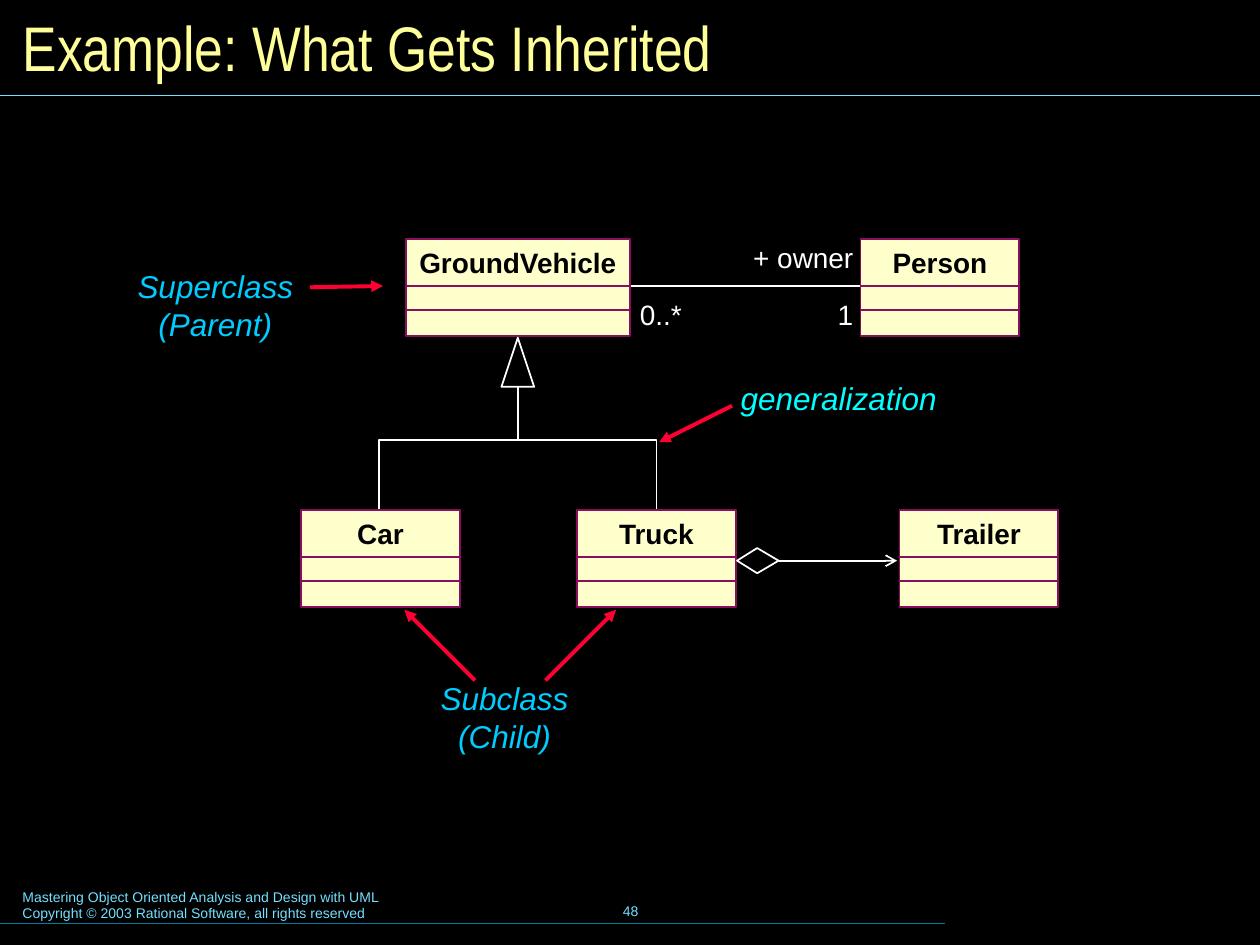
from lxml.etree import SubElement
from pptx import Presentation
from pptx.dml.color import RGBColor
from pptx.enum.shapes import MSO_CONNECTOR as Conn, MSO_SHAPE as Shape
from pptx.enum.text import MSO_ANCHOR as Anchor, MSO_AUTO_SIZE as Fit, PP_ALIGN as Align
from pptx.oxml.ns import qn
from pptx.util import Inches, Pt

HUES = dict(back="000000", title="FFFF99", sky="73E1FF", teal="007E9F", white="FFFFFF",
            blue="00CCFF", cyan="00FFFF", red="FF0033", cream="FFFFCC", plum="8A0E5E")

TITLE = "Example: What Gets Inherited"
FOOTER = ["Mastering Object Oriented Analysis and Design with UML",
          "Copyright © 2003 Rational Software, all rights reserved"]
PAGE = ["48"]

# Class boxes: name, left, row, width
ROWS = [1.9, 4.05]
BOX_H, RULES = 0.77, (0.37, 0.56)
CLASSES = [("Car", 2.39, 1, 1.26), ("Trailer", 7.14, 1, 1.26), ("Truck", 4.58, 1, 1.26),
           ("Person", 6.83, 0, 1.26), ("GroundVehicle", 3.22, 0, 1.78)]

# Callouts: text, left, top, width, height, colour, alignment
NOTES = [("Superclass (Parent)", 0.98, 2.07, 1.46, 0.7, "blue", Align.CENTER),
         ("Subclass (Child)", 3.12, 5.34, 1.77, 0.7, "blue", Align.CENTER),
         ("generalization", 5.78, 2.96, 1.83, 0.4, "cyan", Align.LEFT)]
POINTERS = [((5.81, 3.22), (5.23, 3.51)), ((2.46, 2.28), (3.04, 2.27)),
            ((3.77, 5.4), (3.21, 4.84)), ((4.33, 5.4), (4.89, 4.84))]

# Role labels: text, left, top, width
ROLES = [("+ owner", 5.88, 1.86, 1), ("0..*", 4.98, 2.31, 0.54), ("1", 6.55, 2.31, 0.33)]

# Relations
STEM, FORK, TIP = 4.11, 3.49, 2.68
TREE = [(3.01, 4.15), (3.01, FORK), (5.21, FORK), (5.21, 4.15)]
HEAD = [(STEM, TIP), (STEM + 0.13, TIP + 0.39), (STEM - 0.13, TIP + 0.39)]
MID = 4.45
DIAMOND = [(5.85, MID), (6.01, MID + 0.1), (6.18, MID), (6.01, MID - 0.1)]

deck = Presentation()
deck.slide_width, deck.slide_height = Inches(10), Inches(7.5)
slide = deck.slides.add_slide(deck.slide_layouts[5])
shapes = slide.shapes


def tint(name):
    return RGBColor.from_string(HUES[name])


def stroke(line, hue, width):
    line.color.rgb = tint(hue)
    line.width = Pt(width)


def write(shape, lines, size, hue, align=Align.LEFT, face="Arial", anchor=Anchor.TOP,
          wrap=True, bold=False, italic=False):
    frame = shape.text_frame
    frame.text = "\n".join(lines)
    frame.word_wrap, frame.vertical_anchor = wrap, anchor
    frame.auto_size = Fit.NONE
    for para in frame.paragraphs:
        para.alignment = align
        font = para.font
        font.name, font.size, font.bold, font.italic = face, Pt(size), bold, italic
        font.color.rgb = tint(hue)


def label(lines, left, top, width, height, size, hue, **style):
    box = shapes.add_textbox(*map(Inches, (left, top, width, height)))
    write(box, lines, size, hue, **style)


def link(start, end, hue="white", width=1, head=None):
    line = shapes.add_connector(Conn.STRAIGHT, *map(Inches, start + end))
    stroke(line.line, hue, width)
    if head:
        SubElement(line.line._get_or_add_ln(), qn("a:tailEnd"), type=head)
    SubElement(line._element.spPr, qn("a:effectLst"))


def outline(points, close):
    spots = [(Inches(x), Inches(y)) for x, y in points]
    pen = shapes.build_freeform(*spots[0])
    pen.add_line_segments(spots[1:], close=close)
    form = pen.convert_to_shape()
    form.fill.background()
    form.shadow.inherit = False
    stroke(form.line, "white", 1)


def class_box(name, left, row, width):
    top = ROWS[row]
    box = shapes.add_shape(Shape.RECTANGLE, *map(Inches, (left, top, width, BOX_H)))
    box.shadow.inherit = False
    box.fill.solid()
    box.fill.fore_color.rgb = tint("cream")
    stroke(box.line, "plum", 1)
    write(box, [name], 16, "back", align=Align.CENTER, wrap=False, bold=True)
    for gap in RULES:
        link((left, top + gap), (left + width, top + gap), "plum")


slide.background.fill.solid()
slide.background.fill.fore_color.rgb = tint("back")

title = shapes.title
title.left, title.top, title.width, title.height = map(Inches, (0.08, 0.08, 9.84, 0.58))
write(title, [TITLE], 36, "title", face="Arial Narrow", anchor=Anchor.MIDDLE)
link((0, 0.76), (10, 0.76), "sky", 0.75)

label(FOOTER, 0.08, 7, 5.1, 0.37, 8, "sky")
label(PAGE, 3.42, 6.98, 3.17, 0.5, 8, "sky", align=Align.CENTER, anchor=Anchor.MIDDLE)
link((0, 7.33), (7.5, 7.33), "teal", 0.75)

outline(TREE, False)
link((STEM, FORK), (STEM, TIP + 0.39))
link((4.63, 2.27), (6.99, 2.27))
for item in CLASSES:
    class_box(*item)
outline(HEAD, True)
outline(DIAMOND, True)
link((6.18, MID), (7.12, MID), head="arrow")

for text, left, top, width, height, hue, align in NOTES:
    label([text], left, top, width, height, 18, hue, align=align, italic=True)
for start, end in POINTERS:
    link(start, end, "red", 2.25, "triangle")
for text, left, top, width in ROLES:
    label([text], left, top, width, 0.37, 16, "white", wrap=False)

deck.save("out.pptx")
